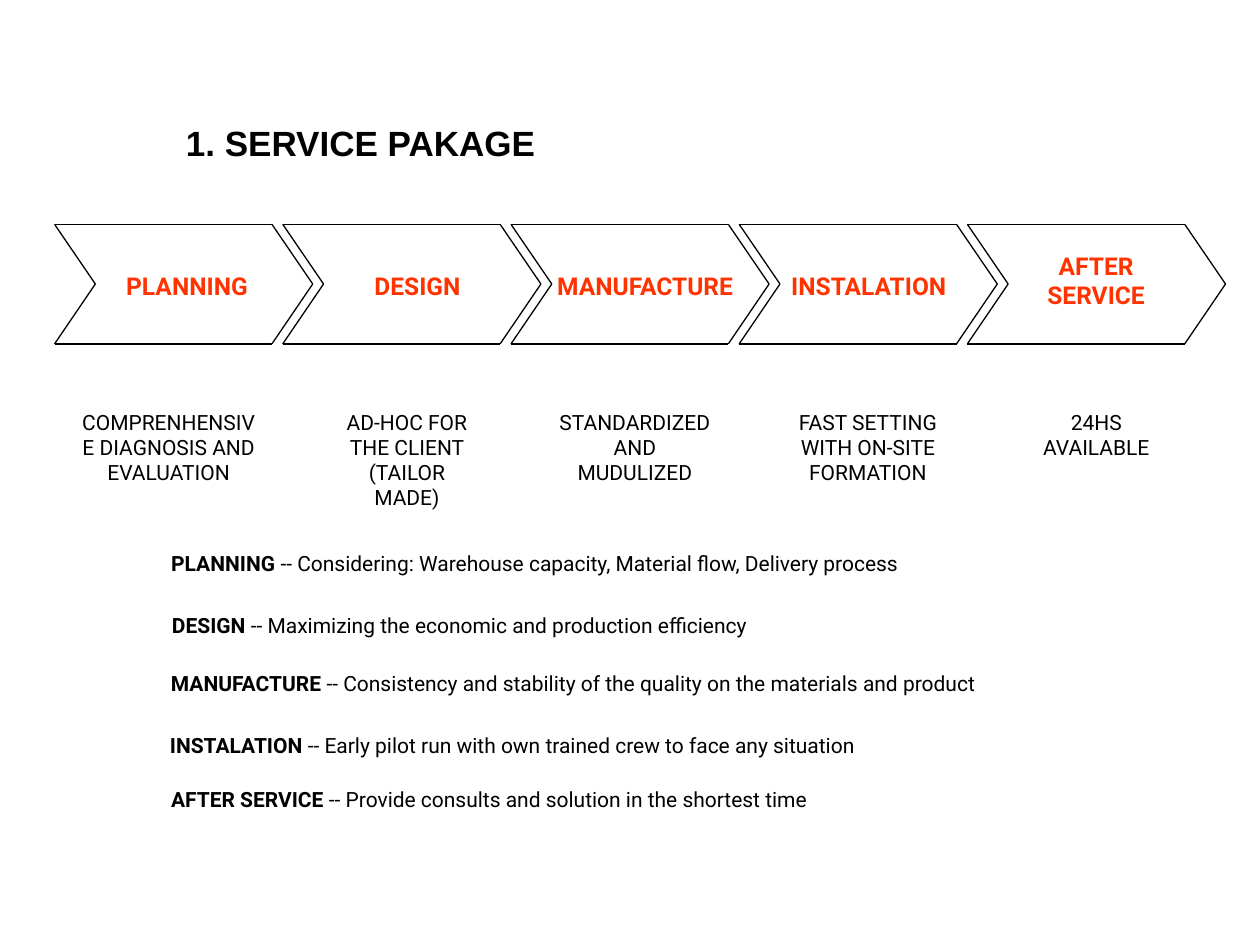
"""Build the service package slide: five process stages with their details."""
from itertools import product
from pptx import Presentation
from pptx.dml.color import RGBColor
from pptx.enum.shapes import MSO_CONNECTOR as Link
from pptx.enum.text import MSO_ANCHOR as Anchor, PP_ALIGN as Align
from pptx.oxml.ns import qn
from pptx.util import Pt
from lxml.etree import SubElement

BLACK = RGBColor(0x00, 0x00, 0x00)
RED = RGBColor(0xFF, 0x33, 0x00)
LEFT, STEP, BODY, NOTCH = 31.2, 130.4, 124.2, 23.3
TOP, MID, BASE = 128.2, 162.3, 196.5


def write(shape, text, rest="", size=12, color=BLACK, bold=False, font="Roboto", align=Align.LEFT):
    frame = shape.text_frame
    frame.word_wrap = True
    frame.vertical_anchor = Anchor.TOP
    frame.margin_left = frame.margin_right = Pt(7.2)
    frame.margin_top = frame.margin_bottom = Pt(3.6)
    frame.text = text
    if rest:
        frame.paragraphs[0].add_run().text = rest
    for para in frame.paragraphs:
        para.alignment = align
        para.space_before = Pt(0)
        for run in para.runs:
            run.font.name = font
            run.font.size = Pt(size)
            run.font.color.rgb = color
            run.font.bold = bold and run.text != rest


deck = Presentation()
deck.slide_width, deck.slide_height = Pt(720), Pt(540)
slide = deck.slides.add_slide(deck.slide_layouts[5])
shapes = slide.shapes

title = shapes.title
title.left, title.top, title.width, title.height = Pt(99), Pt(66), Pt(226.8), Pt(31.7)
write(title, "1. SERVICE PAKAGE", size=20, bold=True, font="Arial")

edges = []
for x in (BODY, 0):
    edges += [(x + NOTCH, MID, x, TOP), (x, BASE, x + NOTCH, MID)]
edges += [(0, y, BODY, y) for y in (TOP, BASE)]

groups = [shapes.add_group_shape() for i in range(5)]
for (i, group), (x1, y1, x2, y2) in product(enumerate(groups), edges):
    x = LEFT + i * STEP
    edge = group.shapes.add_connector(Link.STRAIGHT, Pt(x + x1), Pt(y1), Pt(x + x2), Pt(y2))
    edge.line.color.rgb = BLACK
    edge.line.width = Pt(0.75)
    SubElement(edge._element.spPr, qn("a:effectLst"))

stages = [
    ("PLANNING", 65, 102.2, Align.LEFT,
     "COMPRENHENSIVE DIAGNOSIS AND EVALUATION", 37, 118.8),
    ("DESIGN", 206.9, 85, Align.LEFT,
     "AD-HOC FOR THE CLIENT (TAILOR MADE)", 184.3, 96.5),
    ("MANUFACTURE", 311.3, 147.6, Align.LEFT,
     "STANDARDIZED AND\nMUDULIZED", 303.4, 118.8),
    ("INSTALATION", 445, 136.1, Align.LEFT,
     "FAST SETTING WITH ON-SITE FORMATION", 439.5, 113),
    ("AFTER SERVICE", 586.8, 79.2, Align.CENTER,
     "24HS AVAILABLE", 581.2, 90.7),
]
for name, x, wide, align, note, left, width in stages:
    top, high = (139.7, 41) if align == Align.CENTER else (151.2, 24.5)
    label = shapes.add_textbox(Pt(x), Pt(top), Pt(wide), Pt(high))
    write(label, name, size=14, color=RED, bold=True, align=align)
    box = shapes.add_textbox(Pt(left), Pt(230.4), Pt(width), Pt(50.4))
    write(box, note, align=Align.CENTER)

details = [
    ("PLANNING", "Considering: Warehouse capacity, Material flow, Delivery process", 90.7, 311, 629.3),
    ("DESIGN", "Maximizing the economic and production efficiency", 91.2, 346.3, 487.4),
    ("MANUFACTURE", "Consistency and stability of the quality on the materials and product", 90.6, 379.4, 538.6),
    ("INSTALATION", "Early pilot run with own trained crew to face any situation", 90, 415, 504.7),
    ("AFTER SERVICE", "Provide consults and solution in the shortest time", 90.7, 445.7, 550.1),
]
for name, text, left, top, width in details:
    line = shapes.add_textbox(Pt(left), Pt(top), Pt(width), Pt(21.6))
    write(line, name, f" -- {text}", bold=True)

deck.save("out.pptx")
